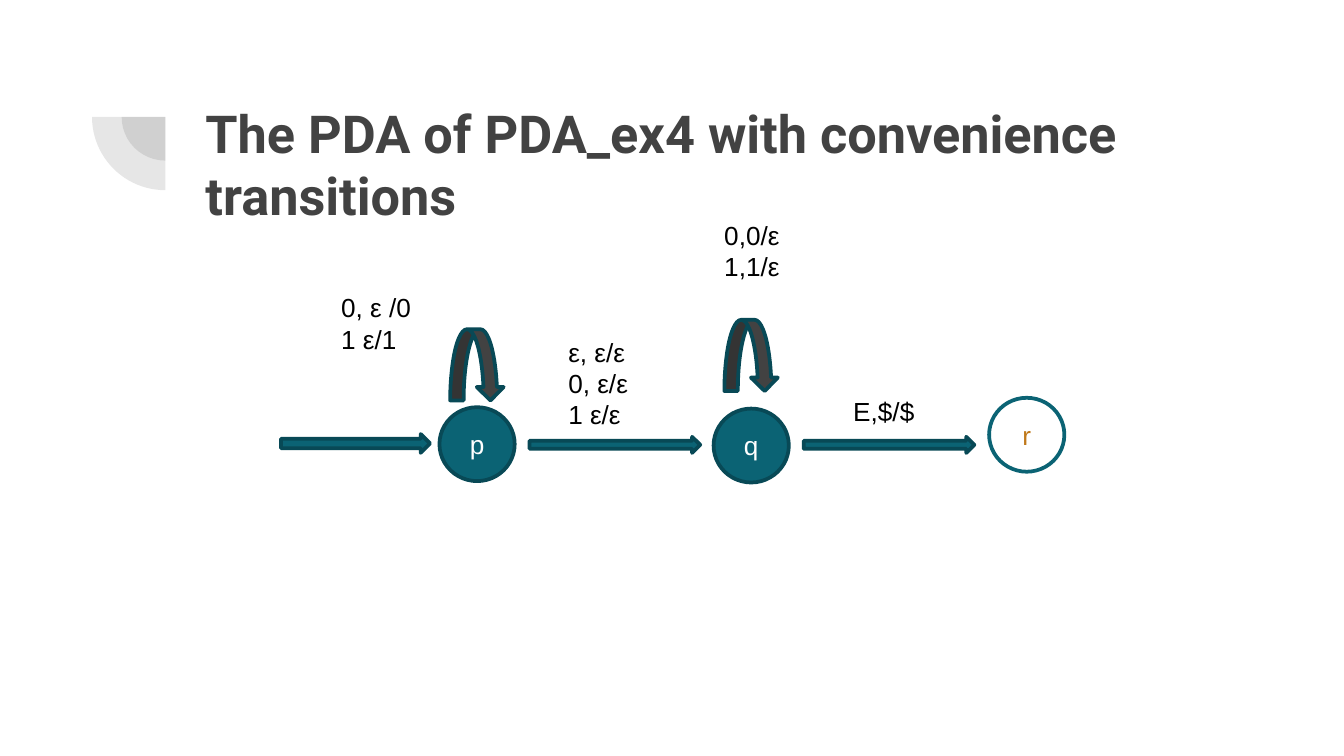
from lxml import etree
from pptx import Presentation
from pptx.dml.color import RGBColor
from pptx.enum.shapes import MSO_SHAPE
from pptx.enum.text import MSO_ANCHOR, PP_ALIGN
from pptx.oxml.ns import qn
from pptx.util import Inches, Pt

TEAL = RGBColor(0x0B, 0x63, 0x74)
DARK_TEAL = RGBColor(0x08, 0x49, 0x56)
CHARCOAL = RGBColor(0x42, 0x42, 0x42)
OCHRE = RGBColor(0xC0, 0x79, 0x1B)
WHITE = RGBColor(0xFF, 0xFF, 0xFF)
BLACK = RGBColor(0x00, 0x00, 0x00)

prs = Presentation()
prs.slide_width = Inches(10)
prs.slide_height = Inches(10) * 9 // 16
slide = prs.slides.add_slide(prs.slide_layouts[6])


def add_figure(kind, left, top, width, height, fill, outline=None):
    """Add a filled shape, with a 2 pt round-joined outline if a colour is given."""
    figure = slide.shapes.add_shape(
        kind, Inches(left), Inches(top), Inches(width), Inches(height))
    figure.shadow.inherit = False
    figure.fill.solid()
    figure.fill.fore_color.rgb = fill
    if outline is None:
        figure.line.fill.background()
    else:
        figure.line.color.rgb = outline
        figure.line.width = Pt(2)
        etree.SubElement(figure.line._ln, qn("a:round"))
    return figure


def write(frame, text, size=14, font="Arial", color=BLACK, bold=False,
          align=PP_ALIGN.LEFT, anchor=MSO_ANCHOR.TOP):
    frame.word_wrap = True
    frame.vertical_anchor = anchor
    frame.text = text
    for paragraph in frame.paragraphs:
        paragraph.alignment = align
        paragraph.font.size = Pt(size)
        paragraph.font.name = font
        paragraph.font.color.rgb = color
        paragraph.font.bold = bold


# Two concentric quarter discs beside the title
center_x, center_y = 1.23, 0.87
for diameter in (0.65, 1.09):
    quarter = add_figure(MSO_SHAPE.PIE, center_x - diameter / 2,
                         center_y - diameter / 2, diameter, diameter, CHARCOAL)
    quarter.rotation = 270
    quarter.adjustments[0] = 108
    quarter.adjustments[1] = 162
    tint = quarter.fill._xPr.find(".//" + qn("a:srgbClr"))
    etree.SubElement(tint, qn("a:alpha"), val="13000")

title = slide.shapes.add_textbox(Inches(1.43), Inches(0.65), Inches(7.69), Inches(1.09))
title.text_frame.margin_top = title.text_frame.margin_bottom = Inches(0.1)
write(title.text_frame, "The PDA of PDA_ex4 with convenience transitions",
      size=28, font="Roboto", color=CHARCOAL, bold=True)

# Transitions between states
for left, top, width, height in [
    (2.09, 3.23, 1.11, 0.14),
    (3.94, 3.25, 1.27, 0.12),
    (5.98, 3.25, 1.27, 0.12),
]:
    add_figure(MSO_SHAPE.RIGHT_ARROW, left, top, width, height, TEAL, DARK_TEAL)

# States
for name, left, top, fill, outline, color in [
    ("p", 3.27, 3.03, TEAL, DARK_TEAL, WHITE),
    ("q", 5.31, 3.04, TEAL, DARK_TEAL, WHITE),
    ("r", 7.36, 2.96, WHITE, TEAL, OCHRE),
]:
    state = add_figure(MSO_SHAPE.OVAL, left, top, 0.56, 0.55, fill, outline)
    write(state.text_frame, name, color=color,
          align=PP_ALIGN.CENTER, anchor=MSO_ANCHOR.MIDDLE)

# Self loops on p and q
for left, top in [(3.35, 2.45), (5.39, 2.38)]:
    add_figure(MSO_SHAPE.CURVED_DOWN_ARROW, left, top, 0.4, 0.53, CHARCOAL, DARK_TEAL)

# Transition labels
for text, left, top, height in [
    ("0, ε /0\n1 ε/1", 2.44, 2.12, 0.57),
    ("ε, ε/ε\n0, ε/ε\n1 ε/ε", 4.13, 2.45, 0.81),
    ("0,0/ε\n1,1/ε", 5.29, 1.58, 0.57),
    ("Ε,$/$", 6.25, 2.89, 0.34),
]:
    label = slide.shapes.add_textbox(Inches(left), Inches(top), Inches(1.11), Inches(height))
    write(label.text_frame, text)

prs.save("out.pptx")
